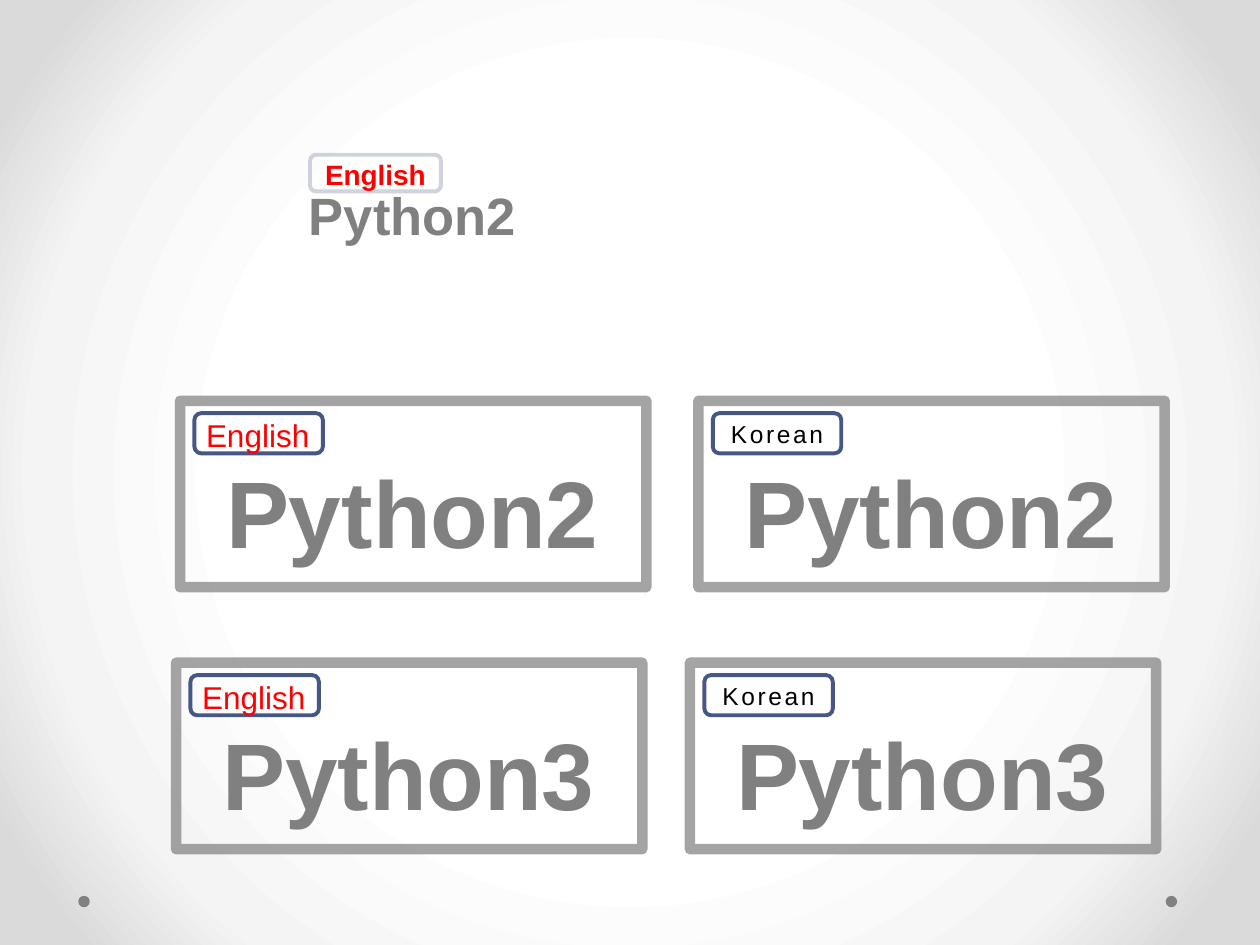
import dataclasses

import lxml.etree
import pptx
import pptx.dml.color
import pptx.enum.shapes
import pptx.enum.text
import pptx.oxml
import pptx.oxml.ns
import pptx.util

Cm = pptx.util.Cm
SHAPES = pptx.enum.shapes.MSO_SHAPE


@dataclasses.dataclass(frozen=True)
class Theme:
    font: str = "Arial"
    gray: str = "808080"
    navy: str = "475785"
    red: str = "FF0000"
    black: str = "000000"
    backdrop: tuple = ((50, "FFFFFF"), (76, "F4F4F4"), (92, "DADADA"))
    title_size: int = 54
    small_title_size: int = 30
    english_size: int = 18
    small_english_size: int = 16
    korean_size: int = 14
    frame_width: float = 6
    tag_width: float = 2.25


THEME = Theme()


def rgb(color):
    return pptx.dml.color.RGBColor.from_string(color)


def paint_background(slide):
    """Radial gradient from the slide's centre."""
    stops = "".join(
        f'<a:gs pos="{position * 1000}"><a:srgbClr val="{color}"/></a:gs>'
        for position, color in THEME.backdrop)
    background = pptx.oxml.parse_xml(
        f'<p:bg {pptx.oxml.ns.nsdecls("p", "a")}><p:bgPr>'
        f'<a:gradFill rotWithShape="1"><a:gsLst>{stops}</a:gsLst>'
        '<a:path path="circle"><a:fillToRect l="50000" t="50000" r="50000" b="50000"/>'
        '</a:path></a:gradFill><a:effectLst/></p:bgPr></p:bg>')
    slide.element.cSld.insert(0, background)


def add_outline(group, kind, left, top, width, height, color, weight, opacity=100):
    outline = group.shapes.add_shape(kind, Cm(left), Cm(top), Cm(width), Cm(height))
    outline.shadow.inherit = False
    outline.fill.background()
    outline.line.color.rgb = rgb(color)
    outline.line.width = pptx.util.Pt(weight)
    if opacity < 100:
        tint = outline.line.fill._xPr.find(".//" + pptx.oxml.ns.qn("a:srgbClr"))
        lxml.etree.SubElement(tint, pptx.oxml.ns.qn("a:alpha"), val=str(opacity * 1000))


def add_text(group, text, left, top, width, height, *, size, color, bold=False, spacing=0):
    label = group.shapes.add_textbox(Cm(left), Cm(top), Cm(width), Cm(height))
    frame = label.text_frame
    frame.word_wrap = True
    frame.auto_size = pptx.enum.text.MSO_AUTO_SIZE.SHAPE_TO_FIT_TEXT
    paragraph = frame.paragraphs[0]
    paragraph.alignment = pptx.enum.text.PP_ALIGN.CENTER
    run = paragraph.add_run()
    run.text = text
    run.font.name = THEME.font
    run.font.size = pptx.util.Pt(size)
    run.font.bold = bold
    run.font.color.rgb = rgb(color)
    if spacing:
        run.font._element.set("spc", str(round(spacing * 100)))


def add_dot(slide, left):
    dot = slide.shapes.add_shape(SHAPES.OVAL, Cm(left), Cm(18.06), Cm(0.23), Cm(0.23))
    dot.shadow.inherit = False
    dot.fill.solid()
    dot.fill.fore_color.rgb = rgb(THEME.gray)
    dot.line.fill.background()


def add_badge(slide, left, top, version, language):
    """Framed version name with a language tag in its corner."""
    badge = slide.shapes.add_group_shape()
    add_outline(badge, SHAPES.RECTANGLE, left, top, 9.4, 3.76,
                THEME.gray, THEME.frame_width, opacity=71)
    add_text(badge, version, left + 0.15, top + 0.94, 9.07, 2.31,
             size=THEME.title_size, color=THEME.gray, bold=True)
    add_outline(badge, SHAPES.ROUNDED_RECTANGLE, left + 0.29, top + 0.25, 2.59, 0.81,
                THEME.navy, THEME.tag_width)
    if language == "English":
        add_text(badge, language, left - 0.1, top + 0.18, 3.33, 1.02,
                 size=THEME.english_size, color=THEME.red)
    else:
        add_text(badge, language, left + 0.29, top + 0.25, 2.59, 0.86,
                 size=THEME.korean_size, color=THEME.black, spacing=1.5)


def add_small_badge(slide):
    """Unframed version name under its language tag."""
    badge = slide.shapes.add_group_shape()
    add_text(badge, "Python2", 3.78, 3.56, 9.07, 1.55,
             size=THEME.small_title_size, color=THEME.gray, bold=True)
    add_outline(badge, SHAPES.ROUNDED_RECTANGLE, 6.25, 3.12, 2.64, 0.74,
                THEME.navy, THEME.tag_width, opacity=25)
    add_text(badge, "English", 5.64, 3.05, 3.86, 0.94,
             size=THEME.small_english_size, color=THEME.red, bold=True)


def main():
    deck = pptx.Presentation()
    deck.slide_width, deck.slide_height = Cm(25.4), Cm(19.05)
    slide = deck.slides.add_slide(deck.slide_layouts[6])

    # Backdrop and footer dots
    paint_background(slide)
    for left in (23.5, 1.58):
        add_dot(slide, left)

    # Badges: one row per version, one column per language
    add_small_badge(slide)
    rows = (("Python2", 8.08, (3.63, 14.08)), ("Python3", 13.36, (3.55, 13.91)))
    for version, top, lefts in rows:
        for language, left in zip(("English", "Korean"), lefts):
            add_badge(slide, left, top, version, language)

    deck.save("out.pptx")


main()
